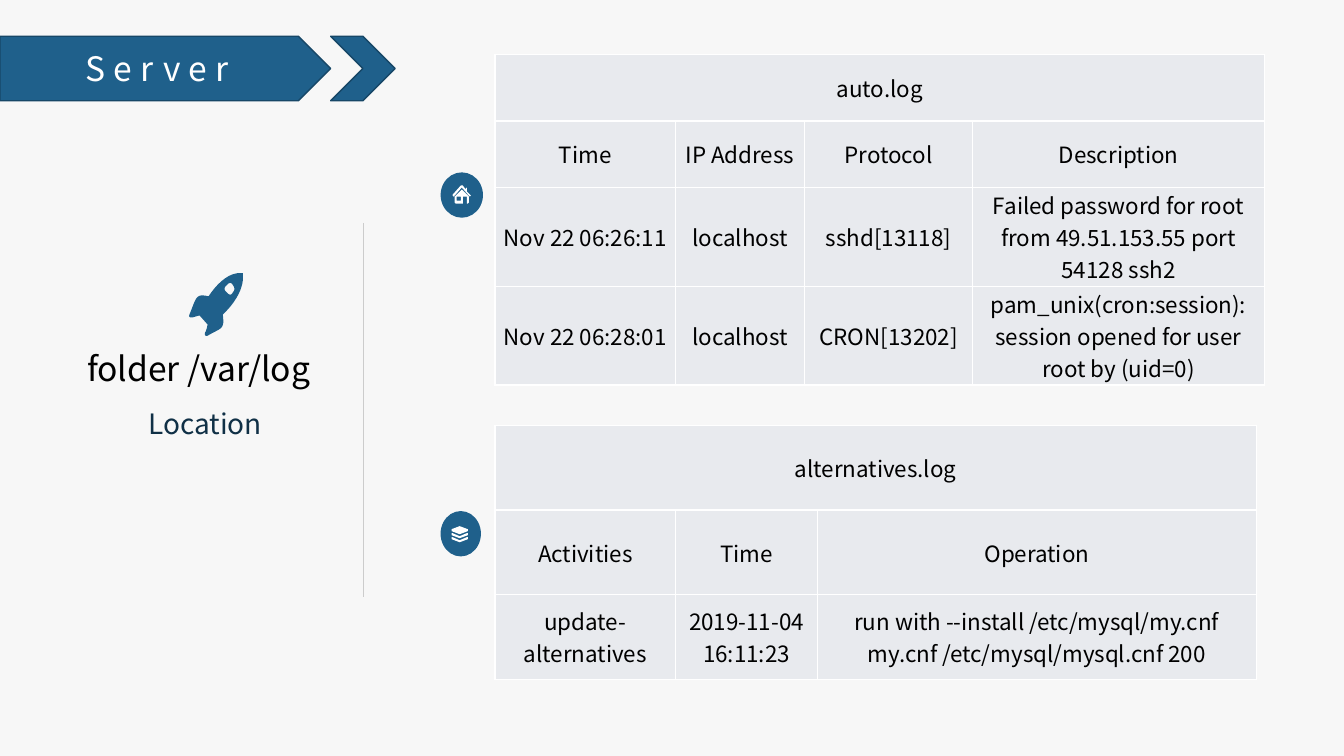
from dataclasses import dataclass

import pptx
import pptx.dml.color
import pptx.enum.shapes
import pptx.enum.text
import pptx.oxml
import pptx.oxml.ns
import pptx.util

Inches = pptx.util.Inches
Shapes = pptx.enum.shapes.MSO_SHAPE
Segment = tuple[float, ...]  # two numbers: line to a point; six: cubic curve

COLORS = {
    "background": "F7F7F7", "blue": "1F608B", "edge": "174767", "navy": "103046",
    "rule": "CCCCCC", "cell": "E8EAEE", "white": "FFFFFF", "black": "000000",
}
FONT = "Noto Sans CJK SC"
CURVE_STEPS = 12


@dataclass
class Plate:
    kind: int
    left: float
    top: float
    width: float
    height: float
    edge: str = ""


@dataclass
class Icon:
    contours: list[list[Segment]]
    color: str


@dataclass
class Label:
    text: str
    left: float
    top: float
    width: float
    size: int
    color: str
    wrap: bool
    spacing: float


@dataclass
class LogTable:
    top: float
    columns: list[float]
    heights: list[float]
    title: str
    rows: list[list[str]]


PLATES = [
    Plate(Shapes.PENTAGON, 0, 0.36, 3.28, 0.64, "edge"),
    Plate(Shapes.CHEVRON, 3.28, 0.36, 0.64, 0.64, "edge"),
    Plate(Shapes.OVAL, 4.37, 1.71, 0.42, 0.45),
    Plate(Shapes.OVAL, 4.37, 5.07, 0.4, 0.45),
]

HOUSE = Icon([
    [(4.67, 1.94), (4.66, 1.95), (4.65, 1.94), (4.58, 1.86), (4.51, 1.94), (4.5, 1.95),
     (4.49, 1.94), (4.49, 1.93), (4.57, 1.84), (4.59, 1.84), (4.62, 1.88), (4.62, 1.87),
     (4.63, 1.86), (4.63, 1.9), (4.66, 1.93)],
    [(4.65, 1.95), (4.65, 2.01), (4.64, 2.02), (4.63, 2.02), (4.63, 1.95), (4.59, 1.95),
     (4.59, 2.02), (4.52, 2.02), (4.51, 2.01), (4.51, 1.95), (4.58, 1.88)],
    [(4.57, 1.95), (4.53, 1.95), (4.53, 1.99), (4.57, 1.99)],
], "white")
LAYERS = Icon([
    [(4.48, 5.25), (4.56, 5.22), (4.64, 5.25), (4.64, 5.27), (4.56, 5.3), (4.48, 5.27)],
    *[[(4.48, y), (4.49, y), (4.56, y + 0.03), (4.63, y), (4.64, y), (4.64, y + 0.02),
       (4.56, y + 0.05), (4.48, y + 0.02)] for y in (5.29, 5.33)],
], "white")
ROCKET = Icon([
    [(2.21, 3.12), (2.21, 3.12, 2.43, 2.93, 2.41, 2.72), (2.41, 2.71), (2.4, 2.71),
     (2.22, 2.69, 2.07, 2.94, 2.07, 2.94), (1.94, 2.91, 1.95, 2.95, 1.88, 3.12),
     (1.87, 3.15, 1.89, 3.15, 1.91, 3.15), (1.94, 3.14, 1.98, 3.13, 1.98, 3.13),
     (2.06, 3.22), (2.06, 3.22, 2.05, 3.27, 2.04, 3.29),
     (2.02, 3.32, 2.04, 3.34, 2.06, 3.33), (2.2, 3.25, 2.23, 3.27, 2.21, 3.12)],
    [(2.25, 2.9), (2.22, 2.88, 2.22, 2.85, 2.25, 2.83), (2.27, 2.8, 2.3, 2.8, 2.31, 2.83),
     (2.33, 2.85, 2.33, 2.88, 2.31, 2.9), (2.3, 2.93, 2.27, 2.93, 2.25, 2.9)],
], "blue")

LABELS = [
    Label("folder /var/log", -0.6, 3.4, 5.14, 24, "black", False, 1.0),
    Label("Location", 1.27, 3.92, 1.53, 20, "navy", True, 1.2),
]

TABLES = [
    LogTable(0.54, [1.79, 1.28, 1.67, 2.89], [0.66, 0.66, 0.98, 0.98], "auto.log", [
        ["Time", "IP Address", "Protocol", "Description"],
        ["Nov 22 06:26:11", "localhost", "sshd[13118]",
         "Failed password for root from 49.51.153.55 port 54128 ssh2"],
        ["Nov 22 06:28:01", "localhost", "CRON[13202]",
         "pam_unix(cron:session): session opened for user root by (uid=0)"],
    ]),
    LogTable(4.22, [1.79, 1.41, 4.35], [0.84] * 3, "alternatives.log", [
        ["Activities", "Time", "Operation"],
        ["update-alternatives", "2019-11-04 16:11:23",
         "run with --install /etc/mysql/my.cnf my.cnf /etc/mysql/mysql.cnf 200"],
    ]),
]


def rgb(name: str) -> pptx.dml.color.RGBColor:
    return pptx.dml.color.RGBColor.from_string(COLORS[name])


def apply(target, values: dict) -> None:
    for name, value in values.items():
        setattr(target, name, value)


def paint(shape, fill: str, edge: str = "") -> None:
    shape.shadow.inherit = False
    shape.fill.solid()
    shape.fill.fore_color.rgb = rgb(fill)
    if edge:
        shape.line.color.rgb = rgb(edge)
        shape.line.width = pptx.util.Pt(1)
    else:
        shape.line.fill.background()


def write(frame, text: str, size: int, color: str) -> None:
    para = frame.paragraphs[0]
    para.alignment = pptx.enum.text.PP_ALIGN.CENTER
    span = para.add_run()
    span.text = text
    apply(span.font, {"name": FONT, "size": pptx.util.Pt(size), "bold": False})
    span.font.color.rgb = rgb(color)


def add_plate(page, plate: Plate) -> None:
    shape = page.shapes.add_shape(plate.kind, Inches(plate.left), Inches(plate.top),
                                  Inches(plate.width), Inches(plate.height))
    paint(shape, "blue", plate.edge)


def flatten(contour: list[Segment]) -> list[tuple[int, int]]:
    points = [contour[0]]
    for segment in contour[1:]:
        if len(segment) == 2:
            points.append(segment)
            continue
        controls = [points[-1], segment[:2], segment[2:4], segment[4:]]
        for step in range(1, CURVE_STEPS + 1):
            t = step / CURVE_STEPS
            weights = ((1 - t) ** 3, 3 * t * (1 - t) ** 2, 3 * t * t * (1 - t), t ** 3)
            points.append(tuple(sum(w * c[axis] for w, c in zip(weights, controls))
                                for axis in (0, 1)))
    return [(Inches(x), Inches(y)) for x, y in points]


def add_icon(page, icon: Icon) -> None:
    outlines = [flatten(contour) for contour in icon.contours]
    builder = page.shapes.build_freeform(*outlines[0][0])
    for index, outline in enumerate(outlines):
        if index:
            builder.move_to(*outline[0])
        builder.add_line_segments(outline[1:], close=True)
    paint(builder.convert_to_shape(), icon.color)


def add_label(page, label: Label) -> None:
    box = page.shapes.add_textbox(Inches(label.left), Inches(label.top),
                                  Inches(label.width), Inches(0.6))
    box.text_frame.word_wrap = label.wrap
    write(box.text_frame, label.text, label.size, label.color)
    box.text_frame.paragraphs[0].line_spacing = label.spacing


def add_log_table(page, log: LogTable) -> None:
    holder = page.shapes.add_table(len(log.heights), len(log.columns), Inches(4.91),
                                   Inches(log.top), Inches(sum(log.columns)),
                                   Inches(sum(log.heights)))
    table = holder.table
    apply(table, {"first_row": False, "horz_banding": False})
    for column, width in zip(table.columns, log.columns):
        column.width = Inches(width)
    for row, height in zip(table.rows, log.heights):
        row.height = Inches(height)
    table.cell(0, 0).merge(table.cell(0, len(log.columns) - 1))
    for cell in table.iter_cells():
        apply(cell, {"margin_left": Inches(0.07), "margin_right": Inches(0.07),
                     "margin_top": 0, "margin_bottom": 0,
                     "vertical_anchor": pptx.enum.text.MSO_ANCHOR.MIDDLE})
        cell.fill.solid()
        cell.fill.fore_color.rgb = rgb("cell")
    write(table.cell(0, 0).text_frame, log.title, 16, "black")
    for row_index, texts in enumerate(log.rows, 1):
        for column_index, text in enumerate(texts):
            write(table.cell(row_index, column_index).text_frame, text, 16, "black")
    # White borders go ahead of the fill
    for properties in holder.element.iter(pptx.oxml.ns.qn("a:tcPr")):
        for index, side in enumerate("LRTB"):
            properties.insert(index, pptx.oxml.parse_xml(
                f'<a:ln{side} {pptx.oxml.ns.nsdecls("a")} w="12700"><a:solidFill>'
                f'<a:srgbClr val="{COLORS["white"]}"/></a:solidFill></a:ln{side}>'))


def add_title(page, banner: Plate) -> None:
    title = page.shapes.title
    apply(title, {"left": Inches(banner.left), "top": Inches(banner.top),
                  "width": Inches(banner.width - 0.16), "height": Inches(banner.height)})
    apply(title.text_frame, {"vertical_anchor": pptx.enum.text.MSO_ANCHOR.MIDDLE,
                             "auto_size": pptx.enum.text.MSO_AUTO_SIZE.NONE,
                             "word_wrap": True})
    write(title.text_frame, "Server", 24, "white")
    for properties in title.element.iter(pptx.oxml.ns.qn("a:rPr")):
        properties.set("spc", "600")
    page.shapes[-1].element.addnext(title.element)  # bring above the banner


def add_divider(page) -> None:
    line = page.shapes.add_connector(pptx.enum.shapes.MSO_CONNECTOR.STRAIGHT,
                                     Inches(3.6), Inches(2.21), Inches(3.6), Inches(5.92))
    line.line.color.rgb = rgb("rule")
    line.line.width = pptx.util.Pt(0.5)
    line.element.spPr.append(pptx.oxml.parse_xml(
        f'<a:effectLst {pptx.oxml.ns.nsdecls("a")}/>'))


def main() -> None:
    deck = pptx.Presentation()
    apply(deck, {"slide_width": Inches(13.33), "slide_height": Inches(7.5)})
    page = deck.slides.add_slide(deck.slide_layouts.get_by_name("Title Only"))
    page.background.fill.solid()
    page.background.fill.fore_color.rgb = rgb("background")

    # Banner, badges and icons
    for plate in PLATES:
        add_plate(page, plate)
    add_title(page, PLATES[0])
    for icon in (HOUSE, LAYERS, ROCKET):
        add_icon(page, icon)
    # Location panel
    for label in LABELS:
        add_label(page, label)
    add_divider(page)
    # Log tables
    for log in TABLES:
        add_log_table(page, log)
    deck.save("out.pptx")


if __name__ == "__main__":
    main()
